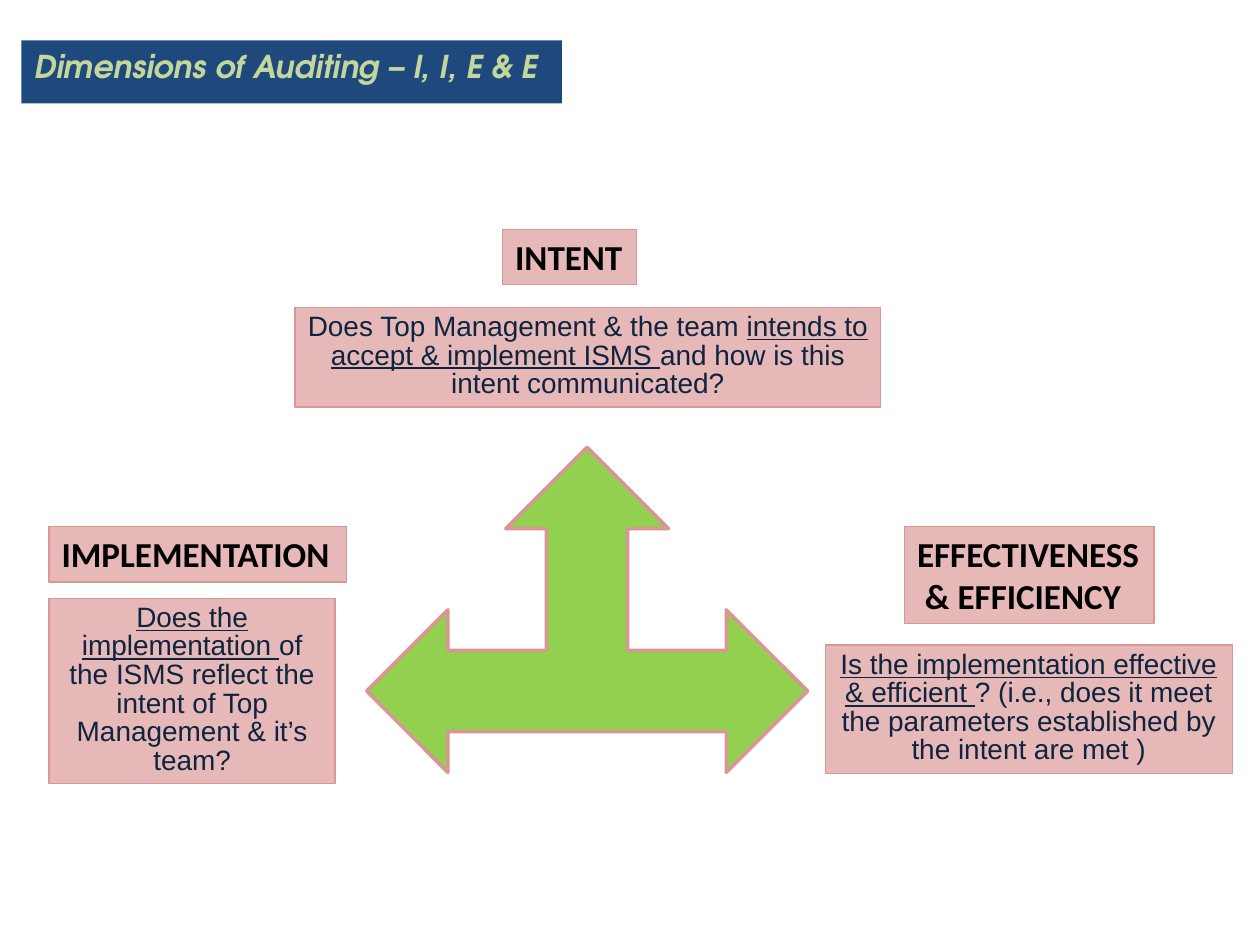
from pptx import Presentation
from pptx.dml.color import RGBColor
from pptx.enum.shapes import MSO_SHAPE as Shape
from pptx.enum.text import MSO_ANCHOR as Anchor, MSO_AUTO_SIZE as AutoSize, PP_ALIGN as Align
from pptx.util import Inches, Pt

COLORS = {
    "banner": "1F497D", "banner_text": "C3D69B", "arrow": "92D050",
    "box": "E6B9B8", "outline": "D99694", "heading": "000000", "question": "0F243E",
}


def color(name):
    return RGBColor.from_string(COLORS[name])


def add_text(paragraph, text, *, font, size, ink, bold=False, italic=False, underline=False):
    run = paragraph.add_run()
    run.text = text
    run.font.name = font
    run.font.size = Pt(size)
    run.font.color.rgb = color(ink)
    run.font.bold = bold
    run.font.italic = italic
    run.font.underline = underline


prs = Presentation()
prs.slide_width, prs.slide_height = Inches(10), Inches(7.5)
slide = prs.slides.add_slide(prs.slide_layouts[5])

# Title banner
banner = slide.shapes.title
banner.left, banner.top = Inches(0.17), Inches(0.32)
banner.width, banner.height = Inches(4.29), Inches(0.5)
banner.fill.solid()
banner.fill.fore_color.rgb = color("banner")
banner.text_frame.auto_size = AutoSize.NONE
banner.text_frame.vertical_anchor = Anchor.TOP
banner_line = banner.text_frame.paragraphs[0]
banner_line.alignment = Align.LEFT
add_text(banner_line, "Dimensions of Auditing – I, I, E & E", font="TeX Gyre Adventor",
         size=18, ink="banner_text", bold=True, italic=True)

# Three-way arrow linking the dimensions
arrow = slide.shapes.add_shape(Shape.LEFT_RIGHT_UP_ARROW, Inches(2.91), Inches(3.55),
                               Inches(3.5), Inches(2.58))
arrow.shadow.inherit = False
arrow.fill.solid()
arrow.fill.fore_color.rgb = color("arrow")
arrow.line.color.rgb = color("outline")
arrow.line.width = Pt(2)

# Each dimension: heading lines, heading place, heading wraps,
# question as (text, underlined) parts, question place
dimensions = [
    (["INTENT"], (3.99, 1.82, 1.06, 0.44), False,
     [("Does Top Management & the team ", False),
      ("intends to accept & implement ISMS ", True),
      ("and how is this intent communicated?", False)],
     (2.34, 2.44, 4.65, 0.79)),
    (["IMPLEMENTATION"], (0.39, 4.18, 2.36, 0.44), True,
     [("Does the implementation ", True),
      ("of the ISMS reflect the intent of Top Management & it’s team?", False)],
     (0.39, 4.75, 2.27, 1.47)),
    (["EFFECTIVENESS", " & EFFICIENCY"], (7.18, 4.18, 1.98, 0.77), False,
     [("Is the implementation effective & efficient ", True),
      ("? (i.e., does it meet the parameters established by the intent are met )", False)],
     (6.55, 5.12, 3.23, 1.02)),
]

for heading_lines, heading_place, heading_wraps, question_parts, question_place in dimensions:
    frames = []
    for place, wraps in ((question_place, True), (heading_place, heading_wraps)):
        box = slide.shapes.add_shape(Shape.RECTANGLE, *map(Inches, place))
        box.shadow.inherit = False
        box.fill.solid()
        box.fill.fore_color.rgb = color("box")
        box.line.color.rgb = color("outline")
        box.line.width = Pt(0.75)
        box.text_frame.word_wrap = wraps
        box.text_frame.auto_size = AutoSize.SHAPE_TO_FIT_TEXT
        box.text_frame.vertical_anchor = Anchor.TOP
        frames.append(box.text_frame)
    question_frame, heading_frame = frames

    # Question
    question = question_frame.paragraphs[0]
    question.alignment = Align.CENTER
    question.line_spacing = 0.85
    for text, underlined in question_parts:
        add_text(question, text, font="Arial", size=16, ink="question", underline=underlined)

    # Heading
    for index, text in enumerate(heading_lines):
        heading = heading_frame.add_paragraph() if index else heading_frame.paragraphs[0]
        heading.alignment = Align.LEFT
        add_text(heading, text, font="Calibri", size=20, ink="heading", bold=True)

prs.save("out.pptx")
